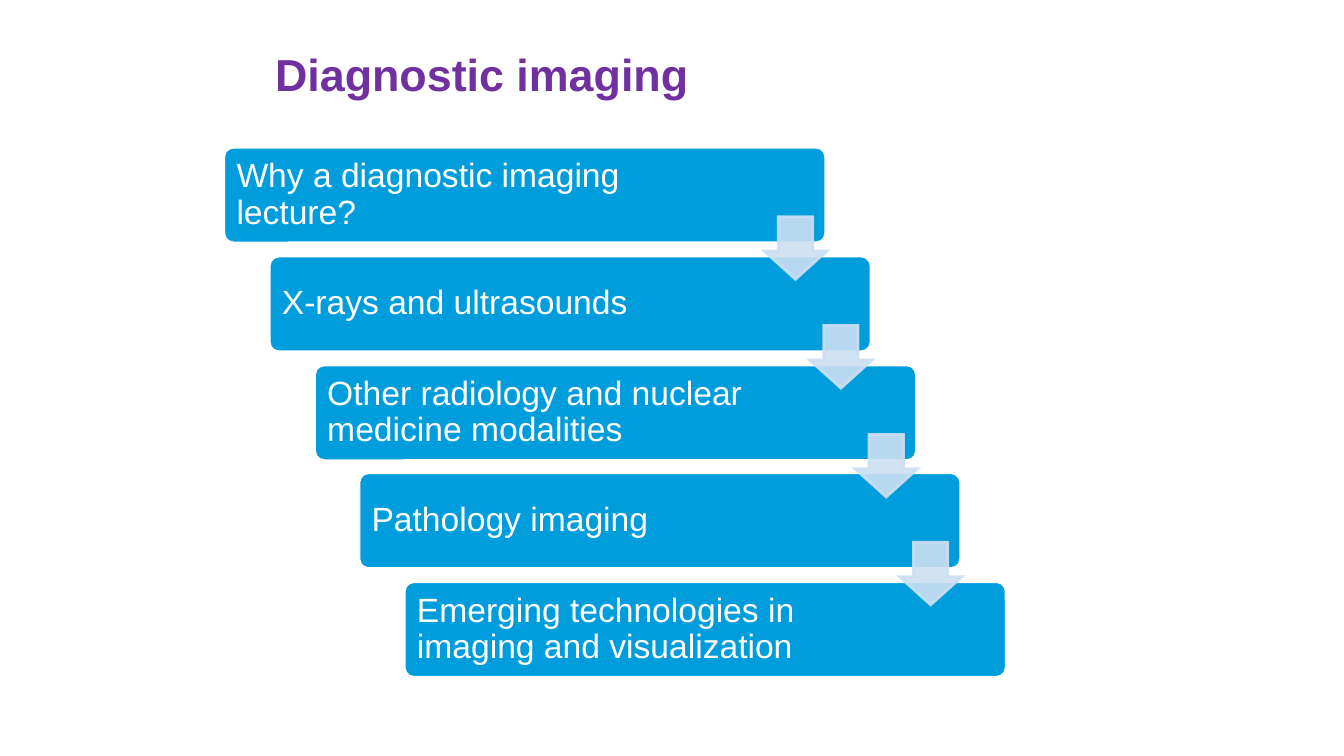
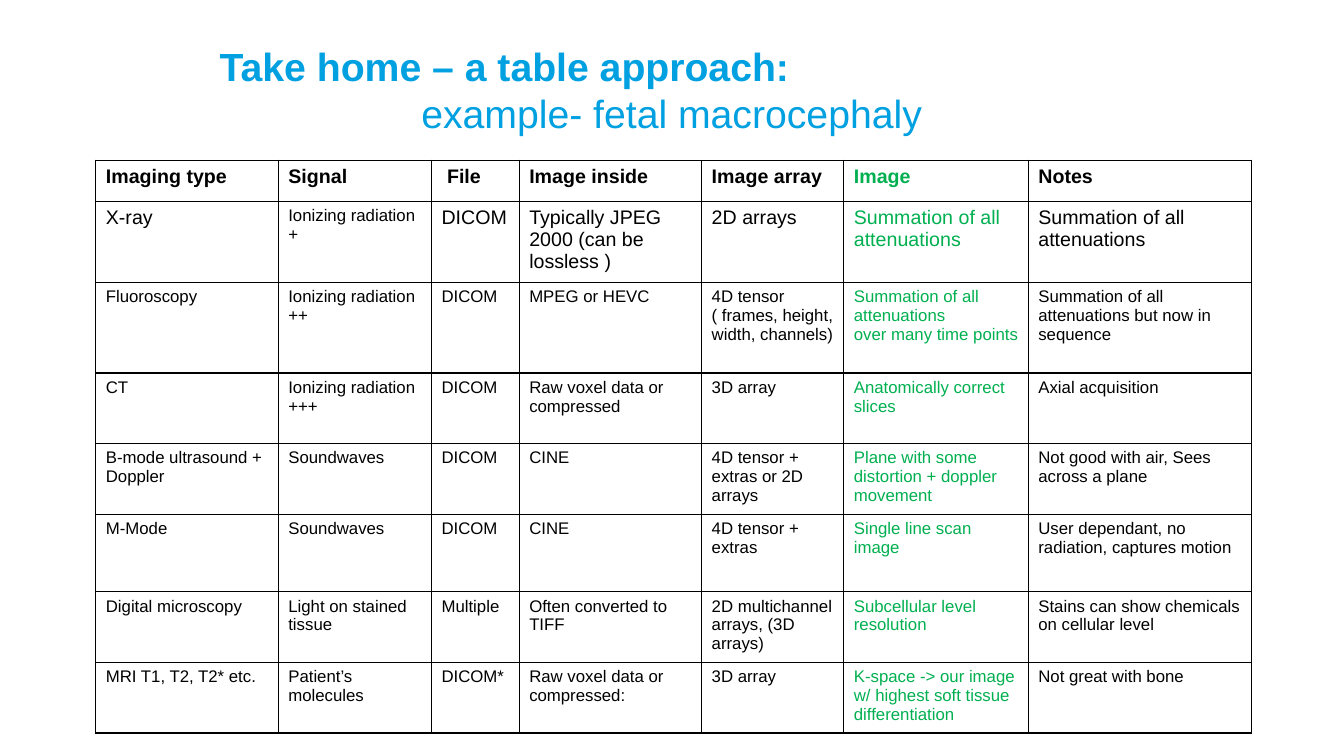
from pptx import Presentation
from pptx.dml.color import RGBColor
from pptx.enum.shapes import MSO_SHAPE
from pptx.enum.text import MSO_ANCHOR, PP_ALIGN
from pptx.oxml import parse_xml
from pptx.oxml.ns import nsdecls, qn
from pptx.util import Emu, Pt
from lxml.etree import SubElement

FONT = "Arial"
COLORS = {
    "white": "FFFFFF", "black": "000000", "purple": "7030A0", "sky": "00A0E1",
    "step": "009DDD", "arrow": "CCDFF2", "green": "00B050",
}

STEPS = [
    "Why a diagnostic imaging lecture?",
    "X-rays and ultrasounds",
    "Other radiology and nuclear medicine modalities",
    "Pathology imaging",
    "Emerging technologies in imaging and visualization",
]
FIRST_STEP, LAST_STEP, STEP_SIZE = (222, 146), (401, 577), (597, 95)
ARROW_OFFSET, ARROW_SIZE = (536, 69), 62

MODALITIES = [
    ("Imaging type", "Signal", " File", "Image inside", "Image array", "Image", "Notes"),
    ("X-ray", "Ionizing radiation +", "DICOM", "Typically JPEG 2000 (can be lossless )",
     "2D arrays", "Summation of all attenuations", "Summation of all attenuations"),
    ("Fluoroscopy", "Ionizing radiation ++", "DICOM", "MPEG or HEVC",
     "4D tensor ( frames, height, width, channels)",
     "Summation of all attenuations\nover many time points",
     "Summation of all attenuations but now in sequence"),
    ("CT", "Ionizing radiation\n+++", "DICOM", "Raw voxel data or compressed",
     "3D array", "Anatomically correct slices", "Axial acquisition"),
    ("B-mode ultrasound + Doppler", "Soundwaves", "DICOM", "CINE",
     "4D tensor + extras or 2D arrays", "Plane with some distortion + doppler movement",
     "Not good with air, Sees across a plane"),
    ("M-Mode", "Soundwaves", "DICOM", "CINE", "4D tensor + extras",
     "Single line scan image", "User dependant, no radiation, captures motion"),
    ("Digital microscopy", "Light on stained tissue", "Multiple", "Often converted to TIFF",
     "2D multichannel arrays, (3D arrays)", "Subcellular level resolution",
     "Stains can show chemicals on cellular level"),
    ("MRI T1, T2, T2* etc.", "Patient’s molecules", "DICOM*",
     "Raw voxel data or compressed:", "3D array",
     "K-space -> our image w/ highest soft tissue differentiation", "Not great with bone"),
]
COLUMN_WIDTHS = (181, 152, 87, 181, 141, 183, 221)
ROW_HEIGHTS = (41, 80, 90, 70, 70, 77, 70, 70)
IMAGE_COLUMN = 5
LARGE_ROWS = 2
SMALL_CELL = (1, 1)


def px(length):
    """Turn px (100 to the inch) into EMU."""
    return Emu(length * 9144)


def rgb(name):
    return RGBColor.from_string(COLORS[name])


def write(frame, text, *, size, color, bold=False, spacing=None, indent=0, append=False):
    """Write one paragraph per line of text; append keeps what is there."""
    frame.word_wrap = True
    for number, line in enumerate(text.split("\n")):
        fresh = append or number > 0
        paragraph = frame.add_paragraph() if fresh else frame.paragraphs[0]
        paragraph.alignment = PP_ALIGN.LEFT
        if indent:
            paragraph._p.get_or_add_pPr().set("marL", str(px(indent)))
        if spacing:
            paragraph.line_spacing = spacing
        run = paragraph.add_run()
        run.text = line
        run.font.name = FONT
        run.font.size = Pt(size)
        run.font.bold = bold
        run.font.color.rgb = rgb(color)


def add_title(slide, left, top, width, height, text, size, color):
    frame = slide.shapes.add_textbox(px(left), px(top), px(width), px(height)).text_frame
    write(frame, text, size=size, color=color, bold=True)
    return frame


def add_block(slide, kind, left, top, width, height, fill, line, adjustments):
    block = slide.shapes.add_shape(kind, px(left), px(top), px(width), px(height))
    block.shadow.inherit = False
    block.fill.solid()
    block.fill.fore_color.rgb = rgb(fill)
    block.line.color.rgb = rgb(line)
    block.line.width = Pt(2)
    SubElement(block.line._ln, qn("a:miter")).set("lim", "800000")
    for index, value in enumerate(adjustments):
        block.adjustments[index] = value
    return block


def set_borders(cell):
    properties = cell._tc.get_or_add_tcPr()
    for side in ("lnL", "lnR", "lnT", "lnB"):
        properties.append(parse_xml(
            f'<a:{side} {nsdecls("a")} w="12700"><a:solidFill>'
            f'<a:srgbClr val="{COLORS["black"]}"/></a:solidFill></a:{side}>'))


def build_outline(slide):
    add_title(slide, 263, 41, 848, 111, "Diagnostic imaging", 32, "purple")
    gaps = len(STEPS) - 1
    corners = [tuple(round(first + (last - first) * i / gaps)
                     for first, last in zip(FIRST_STEP, LAST_STEP))
               for i in range(len(STEPS))]
    for (left, top), text in zip(corners, STEPS):
        step = add_block(slide, MSO_SHAPE.ROUNDED_RECTANGLE, left, top, *STEP_SIZE,
                         "step", "white", [0.1])
        frame = step.text_frame
        frame.vertical_anchor = MSO_ANCHOR.MIDDLE
        frame.margin_left, frame.margin_right = px(10), px(117)
        write(frame, text, size=24, color="white", spacing=0.9)
    for left, top in corners[:-1]:
        arrow = add_block(slide, MSO_SHAPE.DOWN_ARROW, left + ARROW_OFFSET[0],
                          top + ARROW_OFFSET[1], ARROW_SIZE, ARROW_SIZE,
                          "arrow", "arrow", [0.55, 0.45])
        for color in arrow._element.spPr.iter(qn("a:srgbClr")):
            SubElement(color, qn("a:alpha")).set("val", "90000")


def build_summary(slide):
    title = add_title(slide, 208, 37, 939, 104, "Take home – a table approach:", 28, "sky")
    write(title, "example- fetal macrocephaly", size=28, color="sky", indent=200, append=True)
    table = slide.shapes.add_table(
        len(MODALITIES), len(COLUMN_WIDTHS), px(95), px(159),
        px(sum(COLUMN_WIDTHS)), px(sum(ROW_HEIGHTS))).table
    for column, width in zip(table.columns, COLUMN_WIDTHS):
        column.width = px(width)
    for row, height in zip(table.rows, ROW_HEIGHTS):
        row.height = px(height)
    for r, modality in enumerate(MODALITIES):
        for c, text in enumerate(modality):
            cell = table.cell(r, c)
            set_borders(cell)
            cell.fill.solid()
            cell.fill.fore_color.rgb = rgb("white")
            large = r < LARGE_ROWS and (r, c) != SMALL_CELL
            write(cell.text_frame, text, size=14 if large else 12, bold=r == 0,
                  color="green" if c == IMAGE_COLUMN else "black")


def main():
    deck = Presentation()
    deck.slide_width, deck.slide_height = px(1333), px(750)
    for build in (build_outline, build_summary):
        build(deck.slides.add_slide(deck.slide_layouts[6]))
    deck.save("out.pptx")


if __name__ == "__main__":
    main()
